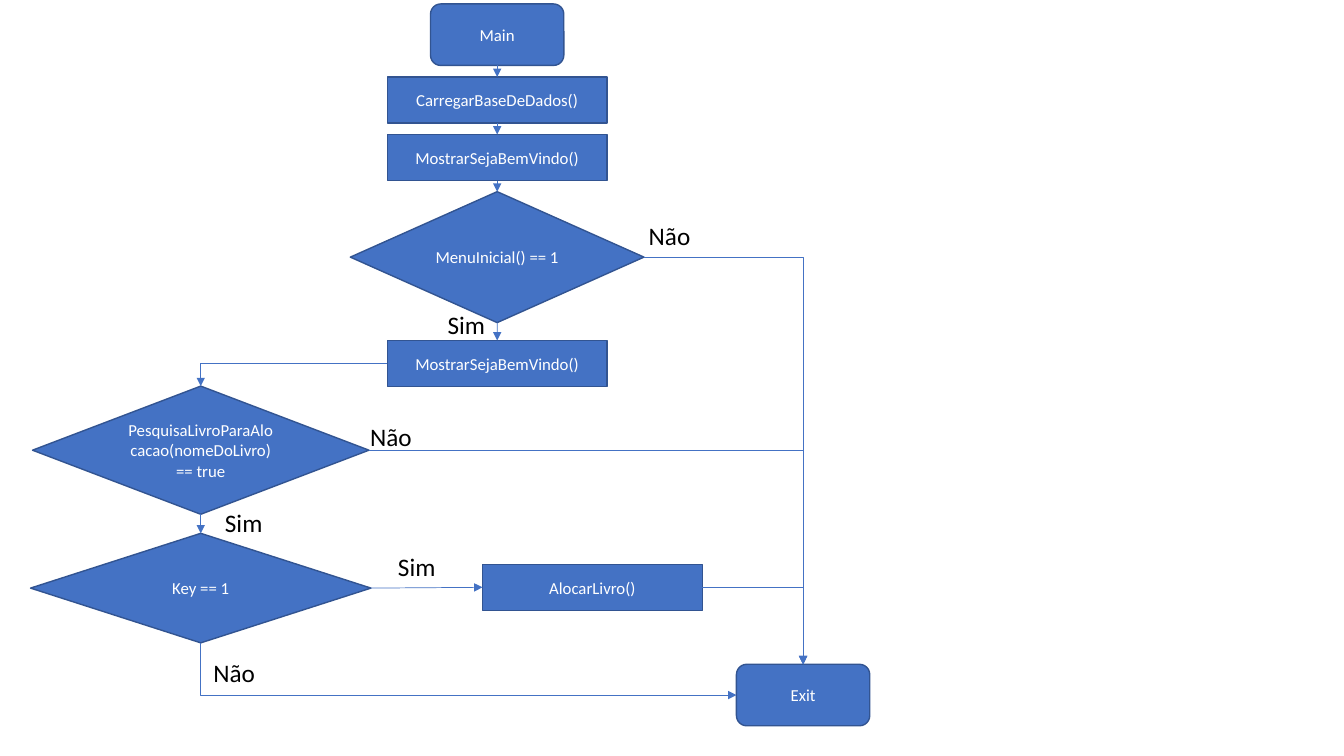
"""Build the flowchart slide of the library program's main routine."""
from dataclasses import dataclass

from pptx import Presentation
from pptx.dml.color import RGBColor
from pptx.enum import shapes, text
from pptx.oxml import ns, xmlchemy
from pptx.util import Cm, Pt


@dataclass(frozen=True)
class Theme:
    font: str = "Calibri"
    fill: RGBColor = RGBColor(0x44, 0x72, 0xC4)
    outline: RGBColor = RGBColor(0x32, 0x54, 0x91)
    node_text: RGBColor = RGBColor(255, 255, 255)
    label_text: RGBColor = RGBColor(0, 0, 0)
    node_size: Pt = Pt(12)
    label_size: Pt = Pt(18)
    outline_width: Pt = Pt(1)
    arrow_width: Pt = Pt(0.5)


@dataclass(frozen=True)
class Kind:
    preset: shapes.MSO_SHAPE
    width: float
    height: float


@dataclass(frozen=True)
class Node:
    key: str
    kind: Kind
    center: float
    top: float
    words: str


@dataclass(frozen=True)
class Arrow:
    start: str
    start_side: int
    end: str
    end_side: int
    bent: bool = False


@dataclass(frozen=True)
class Label:
    words: str
    left: float
    top: float


THEME = Theme()
TOP, LEFT, BOTTOM, RIGHT = range(4)
MAIN_AXIS, SEARCH_AXIS, ALLOCATE_AXIS, EXIT_AXIS = 12.53, 5.06, 14.93, 20.24

TERMINAL = Kind(shapes.MSO_SHAPE.ROUNDED_RECTANGLE, 3.36, 1.55)
STEP = Kind(shapes.MSO_SHAPE.RECTANGLE, 5.54, 1.16)
MENU = Kind(shapes.MSO_SHAPE.DIAMOND, 7.4, 3.3)
SEARCH = Kind(shapes.MSO_SHAPE.DIAMOND, 8.48, 3.23)
KEY = Kind(shapes.MSO_SHAPE.DIAMOND, 8.58, 2.76)

NODES = [
    Node("main", TERMINAL, MAIN_AXIS, 0.1, "Main"),
    Node("load", STEP, MAIN_AXIS, 1.94, "CarregarBaseDeDados()"),
    Node("welcome", STEP, MAIN_AXIS, 3.39, "MostrarSejaBemVindo()"),
    Node("menu", MENU, MAIN_AXIS, 4.83, "MenuInicial() == 1"),
    Node("welcome again", STEP, MAIN_AXIS, 8.58, "MostrarSejaBemVindo()"),
    Node("search", SEARCH, SEARCH_AXIS, 9.73,
         "PesquisaLivroParaAlocacao(nomeDoLivro)\n== true"),
    Node("key", KEY, SEARCH_AXIS, 13.44, "Key == 1"),
    Node("allocate", STEP, ALLOCATE_AXIS, 14.22, "AlocarLivro()"),
    Node("exit", TERMINAL, EXIT_AXIS, 16.74, "Exit"),
]

ARROWS = [
    Arrow("menu", RIGHT, "exit", TOP, bent=True),
    Arrow("key", BOTTOM, "exit", LEFT, bent=True),
    Arrow("allocate", RIGHT, "exit", TOP, bent=True),
    Arrow("key", RIGHT, "allocate", LEFT),
    Arrow("search", BOTTOM, "key", TOP),
    Arrow("welcome again", LEFT, "search", TOP, bent=True),
    Arrow("search", RIGHT, "exit", TOP, bent=True),
    Arrow("main", BOTTOM, "load", TOP),
    Arrow("load", BOTTOM, "welcome", TOP),
    Arrow("welcome", BOTTOM, "menu", TOP),
    Arrow("menu", BOTTOM, "welcome again", TOP),
]

LABELS = [
    Label("Sim", 5.42, 12.67),
    Label("Sim", 9.78, 13.78),
    Label("Sim", 11.03, 7.67),
    Label("Não", 5.13, 16.44),
    Label("Não", 9.08, 10.48),
    Label("Não", 16.1, 5.42),
]


def write(frame, words: str, size: Pt, color: RGBColor, align) -> None:
    frame.text = words
    frame.word_wrap = True
    for paragraph in frame.paragraphs:
        paragraph.alignment = align
        paragraph.font.name = THEME.font
        paragraph.font.size = size
        paragraph.font.color.rgb = color


def draw_node(slide, node: Node):
    kind = node.kind
    box = slide.shapes.add_shape(
        kind.preset, Cm(node.center - kind.width / 2), Cm(node.top),
        Cm(kind.width), Cm(kind.height))
    box.shadow.inherit = False
    box.fill.solid()
    box.fill.fore_color.rgb = THEME.fill
    box.line.color.rgb = THEME.outline
    box.line.width = THEME.outline_width
    box.text_frame.vertical_anchor = text.MSO_ANCHOR.MIDDLE
    write(box.text_frame, node.words, THEME.node_size, THEME.node_text,
          text.PP_ALIGN.CENTER)
    return box


def bend(line, down_first: bool) -> None:
    properties = line._element.spPr
    properties.find(ns.qn("a:prstGeom")).set("prst", "bentConnector2")
    if down_first:
        left, top, width, height = line.left, line.top, line.width, line.height
        line.left = left + (width - height) // 2
        line.top = top + (height - width) // 2
        line.width, line.height = height, width
        frame = properties.find(ns.qn("a:xfrm"))
        frame.set("rot", str(270 * 60000))
        frame.set("flipH", "1")


def draw_arrow(slide, arrow: Arrow, boxes: dict) -> None:
    route = shapes.MSO_CONNECTOR.ELBOW if arrow.bent else shapes.MSO_CONNECTOR.STRAIGHT
    line = slide.shapes.add_connector(route, 0, 0, 0, 0)
    line.begin_connect(boxes[arrow.start], arrow.start_side)
    line.end_connect(boxes[arrow.end], arrow.end_side)
    line.line.color.rgb = THEME.fill
    line.line.width = THEME.arrow_width
    if arrow.bent:
        bend(line, down_first=arrow.start_side == BOTTOM)
    properties = line._element.spPr
    head = xmlchemy.OxmlElement("a:tailEnd")
    head.set("type", "triangle")
    properties.find(ns.qn("a:ln")).append(head)
    properties.append(xmlchemy.OxmlElement("a:effectLst"))


def draw_label(slide, label: Label) -> None:
    box = slide.shapes.add_textbox(
        Cm(label.left), Cm(label.top), Cm(1.65), Cm(1.03))
    write(box.text_frame, label.words, THEME.label_size, THEME.label_text,
          text.PP_ALIGN.LEFT)


def main() -> None:
    deck = Presentation()
    deck.slide_width, deck.slide_height = Cm(33.87), Cm(19.05)
    slide = deck.slides.add_slide(deck.slide_layouts[6])
    boxes = {node.key: draw_node(slide, node) for node in NODES}
    for arrow in ARROWS:
        draw_arrow(slide, arrow, boxes)
    for label in LABELS:
        draw_label(slide, label)
    deck.save("out.pptx")


main()
